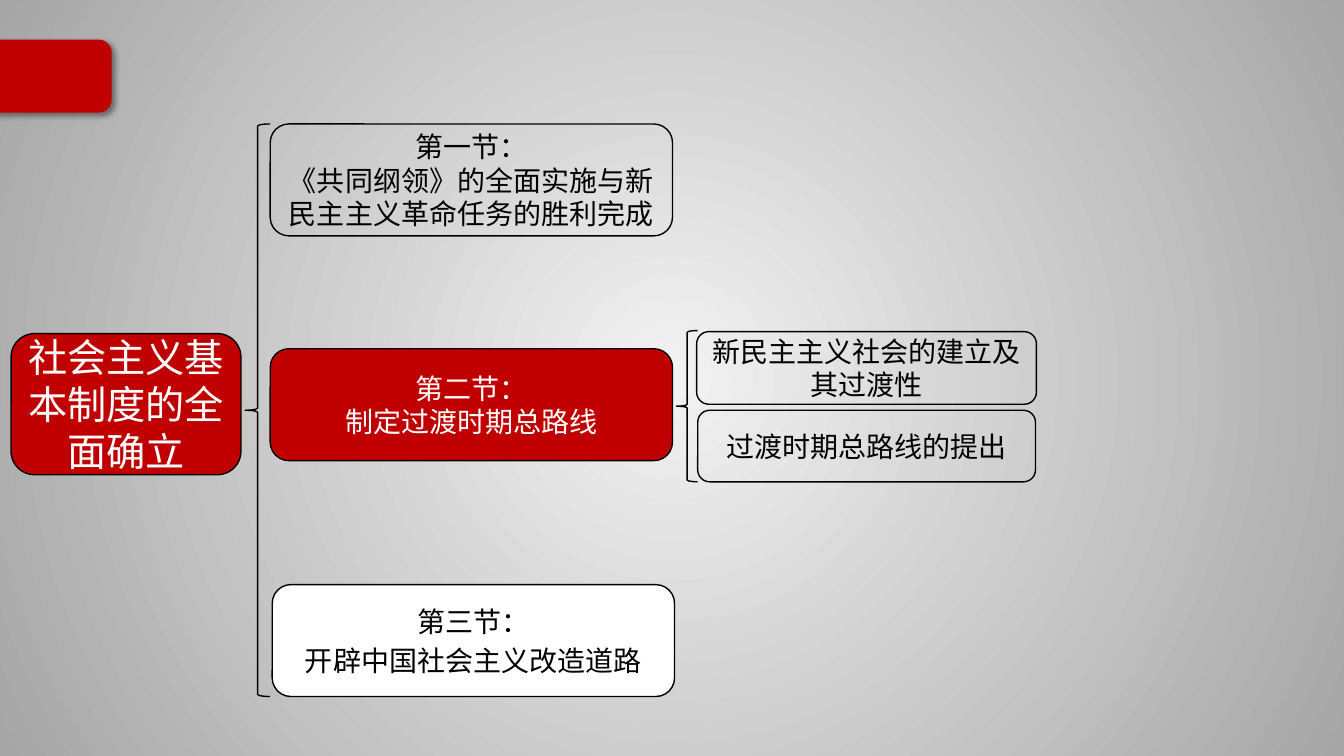
from dataclasses import dataclass
from typing import Optional

from lxml.etree import SubElement, fromstring
from pptx import Presentation
from pptx.dml.color import RGBColor
from pptx.enum.shapes import MSO_SHAPE as Kind
from pptx.enum.text import MSO_ANCHOR as Anchor, PP_ALIGN as Align
from pptx.oxml.ns import nsdecls, qn
from pptx.util import Inches, Pt

RED = RGBColor(0xC0, 0x00, 0x00)
BLACK = RGBColor(0x00, 0x00, 0x00)
WHITE = RGBColor(0xFF, 0xFF, 0xFF)
LIGHT = RGBColor(0xF2, 0xF2, 0xF2)
GREY = RGBColor(0xA6, 0xA6, 0xA6)
FONT = "Noto Sans CJK SC"

GLOW = f"""<a:path {nsdecls("a")} path="circle">
<a:fillToRect l="50000" t="50000" r="50000" b="50000"/></a:path>"""
SHADOW = f"""<a:outerShdw {nsdecls("a")} blurRad="50800" dist="38100"
dir="2700000" algn="tl" rotWithShape="0"><a:srgbClr val="000000">
<a:alpha val="40000"/></a:srgbClr></a:outerShdw>"""


@dataclass
class Node:
    left: float
    top: float
    width: float
    height: float
    lines: tuple[str, ...] = ()
    fill: Optional[RGBColor] = None
    color: RGBColor = BLACK
    size: int = 20
    gap: int = 0
    edge: RGBColor = BLACK
    kind: Kind = Kind.ROUNDED_RECTANGLE


TAB = Node(-0.18, 0.4, 1.28, 0.71, fill=RED, edge=RED)

NODES = (
    Node(0.11, 3.31, 2.28, 1.4, ("社会主义基本制度的全面确立",),
         fill=RED, color=WHITE, size=28),
    Node(2.43, 1.23, 0.25, 5.68, kind=Kind.LEFT_BRACE),
    Node(2.68, 1.23, 3.99, 1.11,
         ("第一节：", "《共同纲领》的全面实施与新民主主义革命任务的胜利完成")),
    Node(2.7, 5.8, 3.99, 1.11, ("第三节：", "开辟中国社会主义改造道路"),
         fill=WHITE, gap=4),
    Node(2.68, 3.46, 3.99, 1.11, ("第二节：", "制定过渡时期总路线"),
         fill=RED, color=WHITE),
    Node(6.71, 3.28, 0.21, 1.5, kind=Kind.LEFT_BRACE),
    Node(6.91, 3.29, 3.37, 0.72, ("新民主主义社会的建立及其过渡性",)),
    Node(6.92, 4.07, 3.35, 0.71, ("过渡时期总路线的提出",)),
)


def write(frame, lines: tuple[str, ...], *, size: int, color: RGBColor,
          gap: int) -> None:
    frame.word_wrap = True
    frame.vertical_anchor = Anchor.MIDDLE
    frame.margin_left = frame.margin_right = Inches(0.08)
    for index, line in enumerate(lines):
        para = frame.add_paragraph() if index else frame.paragraphs[0]
        para.alignment = Align.CENTER
        if index and gap:
            para.space_before = Pt(gap)
        run = para.add_run()
        run.text = line
        run.font.size = Pt(size)
        run.font.color.rgb = color
        run.font.name = FONT
        SubElement(run.font._element, qn("a:ea"), typeface=FONT)


def draw(slide, node: Node):
    shape = slide.shapes.add_shape(
        node.kind, Inches(node.left), Inches(node.top),
        Inches(node.width), Inches(node.height))
    shape.shadow.inherit = False
    if node.fill is None:
        shape.fill.background()
    else:
        shape.fill.solid()
        shape.fill.fore_color.rgb = node.fill
    shape.line.color.rgb = node.edge
    shape.line.width = Pt(1)
    if node.lines:
        write(shape.text_frame, node.lines, size=node.size,
              color=node.color, gap=node.gap)
    return shape


def paint(slide) -> None:
    fill = slide.background.fill
    fill.gradient()
    for stop, color, place in zip(fill.gradient_stops, (LIGHT, GREY), (0, 1)):
        stop.color.rgb = color
        stop.position = place
    grad = slide.element.find(".//" + qn("a:gradFill"))
    grad.replace(grad.find(qn("a:lin")), fromstring(GLOW))


def main() -> None:
    deck = Presentation()
    deck.slide_width = Inches(13.33)
    deck.slide_height = Inches(7.5)
    slide = deck.slides.add_slide(deck.slide_layouts[6])
    paint(slide)
    tab = draw(slide, TAB)
    tab.element.spPr.find(qn("a:effectLst")).append(fromstring(SHADOW))
    for node in NODES:
        draw(slide, node)
    deck.save("out.pptx")


if __name__ == "__main__":
    main()
